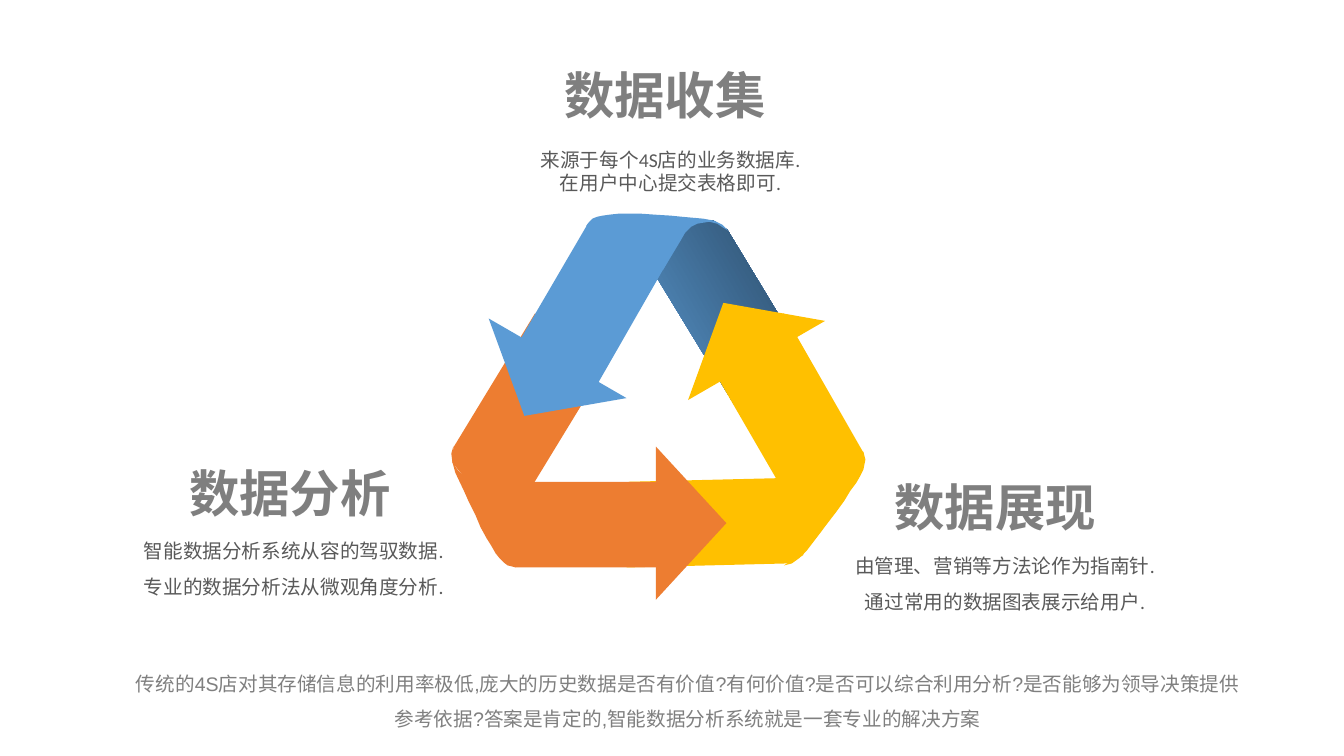
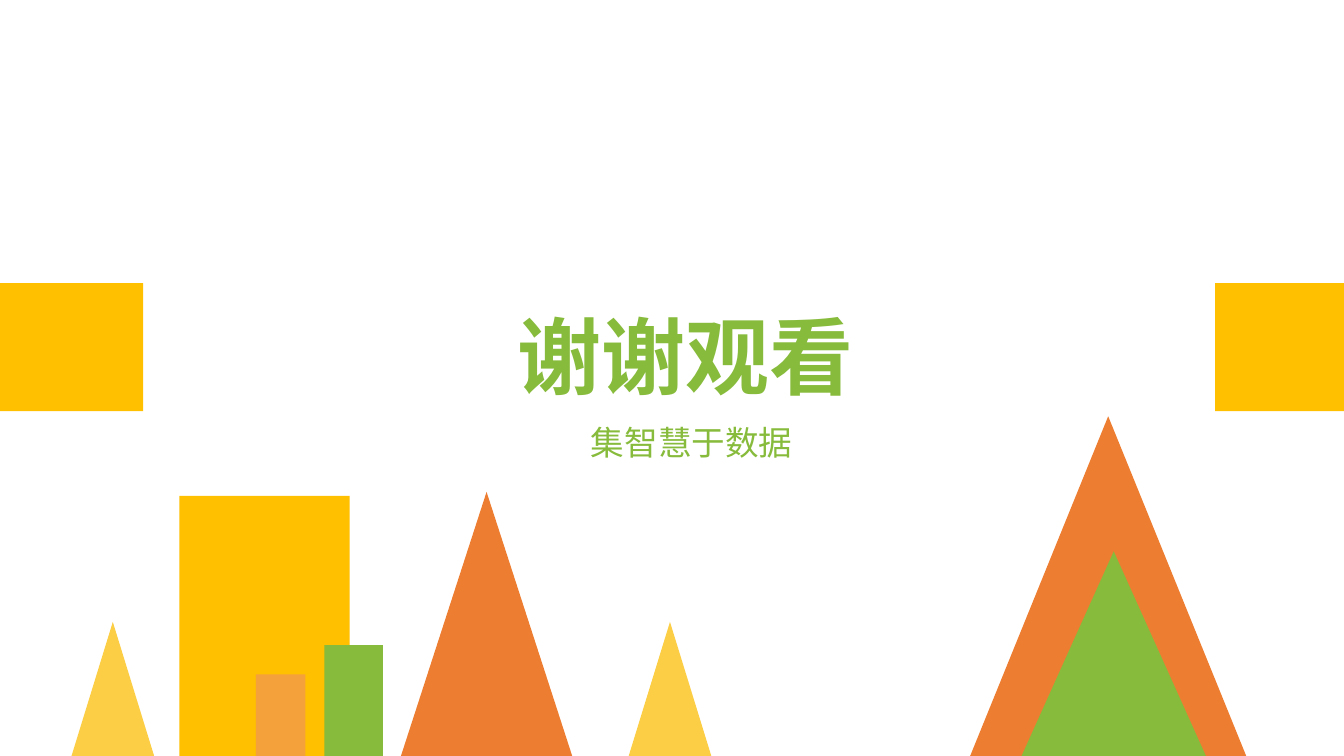
from dataclasses import dataclass
from typing import Optional

from lxml.etree import SubElement
from pptx import Presentation
from pptx.dml.color import RGBColor
from pptx.enum.shapes import MSO_SHAPE as Shape
from pptx.enum.text import MSO_ANCHOR as Anchor, MSO_AUTO_SIZE as AutoSize, PP_ALIGN as Align
from pptx.oxml.ns import qn
from pptx.util import Inches, Pt

WIDTH, HEIGHT = 13.34, 7.5
BLUE, ORANGE, YELLOW, GREEN = "5B9BD5", "ED7D31", "FFC000", "87BB3B"
NAVY, AMBER, SAND = "294761", "F4A03B", "FBCE45"
GREY, DARK_GREY = "7F7F7F", "595959"
CJK_FONT = "Noto Sans CJK SC"
TITLE_ONLY = 5


@dataclass(frozen=True)
class Box:
    """A rectangle on the slide, in inches."""
    left: float
    top: float
    width: float
    height: float

    def lengths(self) -> tuple:
        """Return the four sides as lengths."""
        return tuple(Inches(v) for v in (self.left, self.top, self.width, self.height))


@dataclass(frozen=True)
class Ribbon:
    """One flat piece of the recycling loop, by its corners in inches."""
    color: str
    points: tuple
    shade: Optional[str] = None


@dataclass(frozen=True)
class Head:
    """One arrowhead of the recycling loop."""
    color: str
    box: Box
    rotation: float


@dataclass(frozen=True)
class Stage:
    """A heading with its two lines of explanation."""
    heading: str
    heading_box: Box
    lines: tuple
    lines_box: Box
    spacing: tuple = (1.0, 1.5)


@dataclass(frozen=True)
class Peak:
    """A shape standing on the bottom edge of the slide."""
    kind: Shape
    left: float
    width: float
    height: float
    color: str


LOOP = (
    Ribbon(ORANGE, ((6.07, 3.53), (5.02, 5.25), (4.49, 4.59), (4.5, 4.44), (5.31, 3.11))),
    Ribbon(BLUE, ((7.31, 4.05), (6.23, 2.28), (7.08, 2.19), (7.22, 2.28), (8.05, 3.65)), NAVY),
    Head(BLUE, Box(4.58, 3.51, 1.58, 0.66), 210),
    Ribbon(BLUE, ((5.81, 4.02), (6.63, 2.59), (6.24, 2.37), (5.84, 2.21), (5.04, 3.58))),
    Ribbon(BLUE, (
        (6.58, 2.68), (5.82, 2.24), (5.85, 2.2), (5.88, 2.17), (5.93, 2.15), (5.98, 2.14),
        (6.05, 2.13), (6.14, 2.12), (6.36, 2.12), (6.5, 2.13), (6.66, 2.14), (6.76, 2.15),
        (6.98, 2.17), (7.09, 2.19), (7.17, 2.23), (7.23, 2.29), (7.18, 2.26), (7.12, 2.22),
        (7.08, 2.21), (7.04, 2.2), (6.98, 2.21), (6.92, 2.22), (6.86, 2.25), (6.8, 2.31),
        (6.76, 2.38))),
    Ribbon(YELLOW, ((6.24, 4.78), (8.31, 4.73), (7.97, 5.51), (7.82, 5.59), (6.22, 5.63))),
    Head(YELLOW, Box(6.56, 2.96, 1.57, 0.66), 330),
    Ribbon(YELLOW, ((7.01, 3.55), (7.84, 4.98), (8.22, 4.75), (8.57, 4.49), (7.78, 3.11))),
    Ribbon(YELLOW, (
        (7.81, 4.92), (8.57, 4.48), (8.58, 4.52), (8.59, 4.56), (8.58, 4.61), (8.57, 4.66),
        (8.54, 4.72), (8.5, 4.79), (8.44, 4.87), (8.38, 4.97), (8.3, 5.08), (8.2, 5.21),
        (8.14, 5.29), (8.01, 5.46), (7.93, 5.54), (7.86, 5.59), (7.78, 5.61), (7.83, 5.58),
        (7.89, 5.55), (7.92, 5.53), (7.95, 5.49), (7.98, 5.44), (8, 5.39), (8.01, 5.33),
        (7.99, 5.26), (7.96, 5.19))),
    Ribbon(ORANGE, (
        (5.12, 4.78), (5.12, 5.63), (5.08, 5.62), (5.04, 5.61), (5, 5.58), (4.96, 5.54),
        (4.92, 5.49), (4.88, 5.42), (4.83, 5.34), (4.77, 5.23), (4.72, 5.11), (4.65, 4.97),
        (4.61, 4.88), (4.52, 4.69), (4.49, 4.58), (4.48, 4.5), (4.5, 4.43), (4.5, 4.55),
        (4.52, 4.63), (4.55, 4.67), (4.59, 4.71), (4.64, 4.75), (4.71, 4.77), (4.8, 4.78))),
    Head(ORANGE, Box(6.1, 4.84, 1.52, 0.7), 90),
    Ribbon(ORANGE, ((6.8, 4.78), (5.06, 4.78), (5.06, 5.22), (5.12, 5.63), (6.8, 5.63))),
)

COLLECT = Stage("数据收集", Box(5.5, 0.59, 2.95, 0.7),
                ("来源于每个4S店的业务数据库.", "在用户中心提交表格即可."),
                Box(4.98, 1.3, 3.35, 0.69), (1.5, 1.0))
SHOW = Stage("数据展现", Box(8.78, 4.67, 2.95, 0.7),
             ("由管理、营销等方法论作为指南针.", "通过常用的数据图表展示给用户."),
             Box(8.3, 5.45, 3.35, 0.69))
ANALYSE = Stage("数据分析", Box(1.78, 4.54, 2.95, 0.7),
                ("智能数据分析系统从容的驾驭数据.", "专业的数据分析法从微观角度分析."),
                Box(1.24, 5.3, 3.35, 0.69))
SUMMARY = ("传统的4S店对其存储信息的利用率极低,庞大的历史数据是否有价值?有何价值?"
           "是否可以综合利用分析?是否能够为领导决策提供参考依据?"
           "答案是肯定的,智能数据分析系统就是一套专业的解决方案")

SKYLINE = (
    Peak(Shape.RECTANGLE, 1.78, 1.69, 2.58, YELLOW),
    Peak(Shape.RECTANGLE, 2.54, 0.49, 0.81, AMBER),
    Peak(Shape.RECTANGLE, 3.22, 0.58, 1.1, GREEN),
    Peak(Shape.ISOSCELES_TRIANGLE, 3.98, 1.7, 2.62, ORANGE),
    Peak(Shape.ISOSCELES_TRIANGLE, 6.24, 0.82, 1.33, SAND),
    Peak(Shape.ISOSCELES_TRIANGLE, 0.71, 0.82, 1.33, SAND),
    Peak(Shape.ISOSCELES_TRIANGLE, 9.63, 2.74, 3.37, ORANGE),
    Peak(Shape.ISOSCELES_TRIANGLE, 10.14, 1.83, 2.03, GREEN),
)


def rgb(color: str) -> RGBColor:
    """Turn a hex string into a colour."""
    return RGBColor.from_string(color)


def paint(sp, color: str, shade: Optional[str] = None) -> None:
    """Fill a shape, with a gradient if a shade is given, and drop line and shadow."""
    sp.shadow.inherit = False
    sp.line.fill.background()
    if shade is None:
        sp.fill.solid()
        sp.fill.fore_color.rgb = rgb(color)
        return
    sp.fill.gradient()
    sp.fill.gradient_angle = 30
    for stop, value, position in zip(sp.fill.gradient_stops, (color, shade), (0, 1)):
        stop.color.rgb = rgb(value)
        stop.position = position


def add_preset(shapes, kind: Shape, box: Box, color: str, rotation: float = 0) -> None:
    """Add a plain preset shape."""
    sp = shapes.add_shape(kind, *box.lengths())
    sp.rotation = rotation
    paint(sp, color)


def add_ribbon(shapes, ribbon: Ribbon) -> None:
    """Add a closed outline through the corners of a ribbon."""
    start, *rest = [(Inches(x), Inches(y)) for x, y in ribbon.points]
    builder = shapes.build_freeform(*start)
    builder.add_line_segments(rest, close=True)
    paint(builder.convert_to_shape(), ribbon.color, ribbon.shade)


def write(s, box: Box, *lines: str, size: float, color: str, font: str = "Calibri",
          bold: bool = False, align: Align = Align.CENTER, spacing: tuple = (1.0, 1.0),
          inset: float = 0.05, title: bool = False) -> None:
    """Write lines in a new text box, or in the title placeholder of the slide."""
    sp = s.shapes.title if title else s.shapes.add_textbox(*box.lengths())
    sp.left, sp.top, sp.width, sp.height = box.lengths()
    tf = sp.text_frame
    tf.word_wrap = True
    tf.auto_size = AutoSize.NONE
    tf.vertical_anchor = Anchor.TOP
    tf.margin_left = tf.margin_right = Inches(0.1)
    tf.margin_top = tf.margin_bottom = Inches(inset)
    for i, (line, gap) in enumerate(zip(lines, spacing)):
        p = tf.add_paragraph() if i else tf.paragraphs[0]
        p.alignment, p.line_spacing = align, gap
        r = p.add_run()
        r.text = line
        r.font.size, r.font.bold, r.font.name = Pt(size), bold, font
        r.font.color.rgb = rgb(color)
        SubElement(r.font._element, qn("a:ea")).set("typeface", CJK_FONT)


def add_stage(s, stage: Stage, title: bool = False) -> None:
    """Write a heading and its explanation."""
    write(s, stage.heading_box, stage.heading, size=36, color=GREY, bold=True,
          align=Align.LEFT, title=title)
    write(s, stage.lines_box, *stage.lines, size=14, color=DARK_GREY, spacing=stage.spacing)


def build_cycle(s) -> None:
    """Build the loop of collecting, analysing and showing data."""
    loop = s.shapes.add_group_shape().shapes
    for part in LOOP:
        if isinstance(part, Head):
            add_preset(loop, Shape.ISOSCELES_TRIANGLE, part.box, part.color, part.rotation)
        else:
            add_ribbon(loop, part)
    for stage in (COLLECT, SHOW, ANALYSE):
        add_stage(s, stage, title=stage is COLLECT)
    write(s, Box(1.2, 6.55, 11.25, 0.83), SUMMARY, size=14, color=GREY, font="Arial",
          spacing=(1.5,), inset=0)


def build_thanks(s) -> None:
    """Build the closing slide with its skyline."""
    for left, width in ((0, 1.42), (12.06, 1.28)):
        add_preset(s.shapes, Shape.RECTANGLE, Box(left, 2.81, width, 1.27), YELLOW)
    write(s, Box(0.14, 2.97, 13.33, 1.1), "谢谢观看", size=60, color=GREEN,
          font=CJK_FONT, bold=True, title=True)
    write(s, Box(3.08, 4.14, 7.57, 0.5), "集智慧于数据", size=24, color=GREEN, font=CJK_FONT)
    for peak in SKYLINE:
        box = Box(peak.left, HEIGHT - peak.height, peak.width, peak.height)
        add_preset(s.shapes, peak.kind, box, peak.color)


def main() -> None:
    """Build and save the presentation."""
    prs = Presentation()
    prs.slide_width, prs.slide_height = Inches(WIDTH), Inches(HEIGHT)
    for build in (build_cycle, build_thanks):
        build(prs.slides.add_slide(prs.slide_layouts[TITLE_ONLY]))
    prs.save("out.pptx")


if __name__ == "__main__":
    main()
